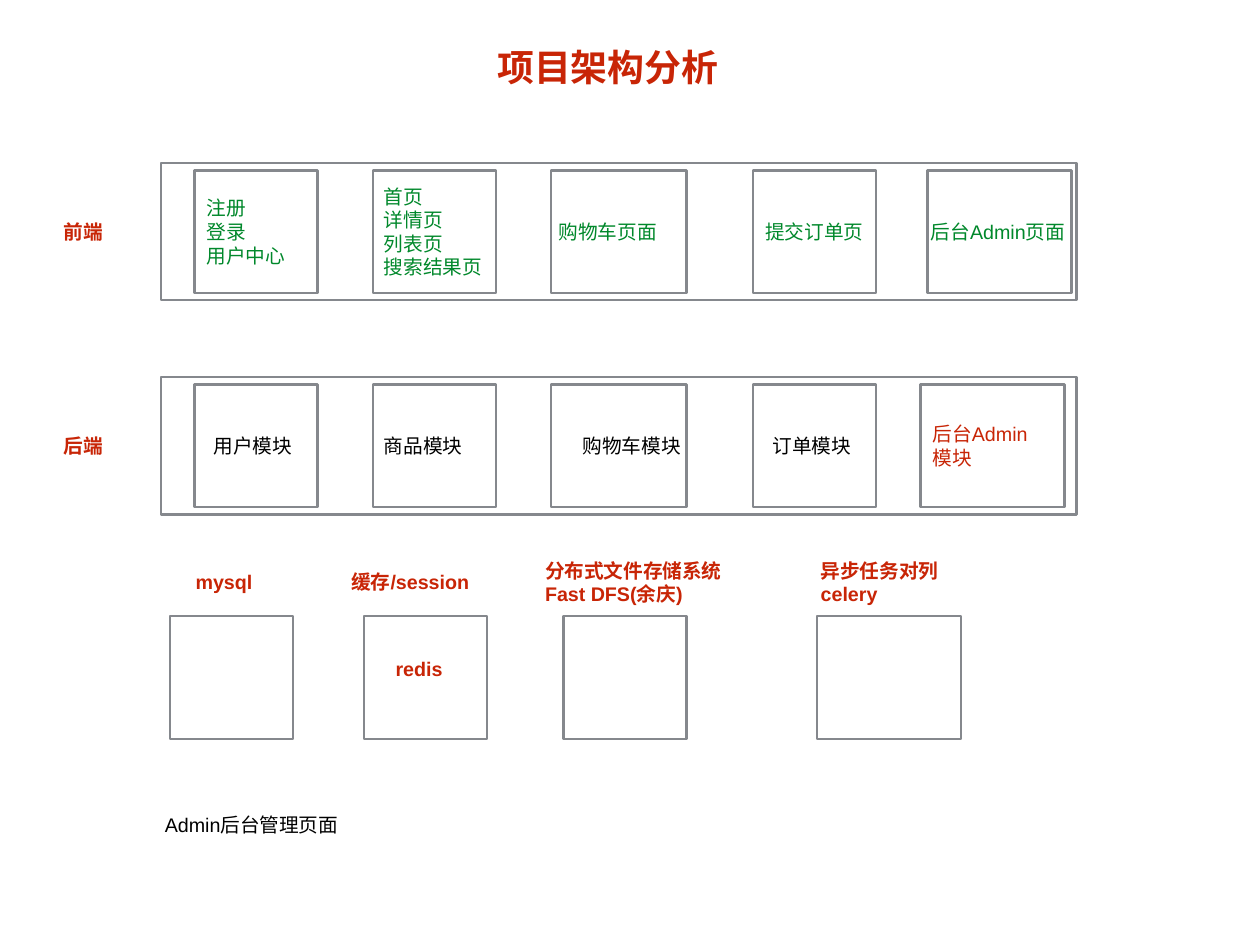
import dataclasses

import pptx
import pptx.dml.color
import pptx.enum.shapes
import pptx.enum.text
import pptx.util

COLUMNS, ROWS = 1024, 768
CELL = pptx.util.Pt(1)
RED = pptx.dml.color.RGBColor(0xC8, 0x25, 0x06)
GREEN = pptx.dml.color.RGBColor(0x00, 0x88, 0x2B)
BLACK = pptx.dml.color.RGBColor(0x00, 0x00, 0x00)
GRAY = pptx.dml.color.RGBColor(0x85, 0x88, 0x8D)
PADDING = 4
LINE_HEIGHT = 22


@dataclasses.dataclass
class Box:
    left: float
    top: float
    width: float
    height: float

    @property
    def middle(self):
        return self.top + self.height / 2

    def lengths(self):
        return [round(value * CELL) for value in dataclasses.astuple(self)]


def write_text(shape, lines, color, size=16, bold=False, wrap=False):
    frame = shape.text_frame
    frame.word_wrap = wrap
    frame.auto_size = pptx.enum.text.MSO_AUTO_SIZE.SHAPE_TO_FIT_TEXT
    frame.vertical_anchor = pptx.enum.text.MSO_ANCHOR.MIDDLE
    frame.margin_left = frame.margin_right = PADDING * CELL
    frame.margin_top = frame.margin_bottom = PADDING * CELL
    for index, line in enumerate(lines):
        paragraph = frame.add_paragraph() if index else frame.paragraphs[0]
        paragraph.alignment = pptx.enum.text.PP_ALIGN.LEFT
        run = paragraph.add_run()
        run.text = line
        run.font.name = "Arial"
        run.font.size = pptx.util.Pt(size)
        run.font.bold = bold
        run.font.color.rgb = color


def add_label(slide, left, middle, width, lines, color, bold=False, wrap=False):
    height = 2 * PADDING + LINE_HEIGHT * len(lines)
    box = Box(left, middle - height / 2, width, height)
    shape = slide.shapes.add_textbox(*box.lengths())
    write_text(shape, lines, color, bold=bold, wrap=wrap)


def add_frame(slide, box):
    shape = slide.shapes.add_shape(
        pptx.enum.shapes.MSO_SHAPE.RECTANGLE, *box.lengths())
    shape.shadow.inherit = False
    shape.fill.background()
    shape.line.color.rgb = GRAY
    shape.line.width = pptx.util.Pt(2)


def add_title(slide, box):
    title = slide.shapes.title
    title.left, title.top, title.width, title.height = box.lengths()
    write_text(title, ["项目架构分析"], RED, size=30, bold=True)


def add_tier(slide, box, name, modules):
    inset = 6
    add_frame(slide, box)
    add_label(slide, box.left - 83, box.middle, 41, [name], RED, bold=True)
    for offset, width, indent, text_width, lines, color, wrap in modules:
        module = Box(box.left + offset, box.top + inset,
                     width, box.height - 2 * inset)
        add_frame(slide, module)
        add_label(slide, module.left + indent, module.middle,
                  text_width, lines, color, wrap=wrap)


def add_services(slide, box, services):
    for offset, width, indent, text_width, lines, wrap, content in services:
        service = Box(box.left + offset, box.top, width, box.height)
        add_frame(slide, service)
        add_label(slide, service.left + indent, service.top - 27.5,
                  text_width, lines, RED, bold=True, wrap=wrap)
        if content:
            add_label(slide, service.left + 21.5, service.middle - 7,
                      48, [content], RED, bold=True)


def build_architecture(slide):
    add_title(slide, Box(400, 29.5, 189, 50))
    add_tier(slide, Box(131, 132.5, 744, 111.5), "前端", [
        (27, 100, 6, 73, ["注册", "登录", "用户中心"], GREEN, False),
        (172, 100, 5, 89, ["首页", "详情页", "列表页", "搜索结果页"], GREEN, False),
        (317, 110, 2, 89, ["购物车页面"], GREEN, False),
        (481, 100, 6, 89, ["提交订单页"], GREEN, False),
        (623, 117, -1.5, 118, ["后台Admin页面"], GREEN, True),
    ])
    add_tier(slide, Box(131, 306.5, 744, 111.5), "后端", [
        (27, 100, 11.5, 73, ["用户模块"], BLACK, False),
        (172, 100, 5, 73, ["商品模块"], BLACK, False),
        (317, 110, 21.5, 89, ["购物车模块"], BLACK, False),
        (481, 100, 12, 73, ["订单模块"], BLACK, False),
        (617, 117, 6, 91, ["后台Admin", "模块"], RED, False),
    ])
    add_services(slide, Box(138, 500.5, 643, 100), [
        (0, 100, 17, 55, ["mysql"], False, None),
        (158, 100, -14.5, 105, ["缓存/session"], True, "redis"),
        (320, 100, -19, 158, ["分布式文件存储系统", "Fast DFS(余庆)"], False, None),
        (526, 117, -1, 109, ["异步任务对列", "celery"], False, None),
    ])
    add_label(slide, 130, 670, 150, ["Admin后台管理页面"], BLACK, wrap=True)


def main():
    presentation = pptx.Presentation()
    presentation.slide_width = COLUMNS * CELL
    presentation.slide_height = ROWS * CELL
    slide = presentation.slides.add_slide(presentation.slide_layouts[5])
    build_architecture(slide)
    presentation.save("out.pptx")


if __name__ == "__main__":
    main()
